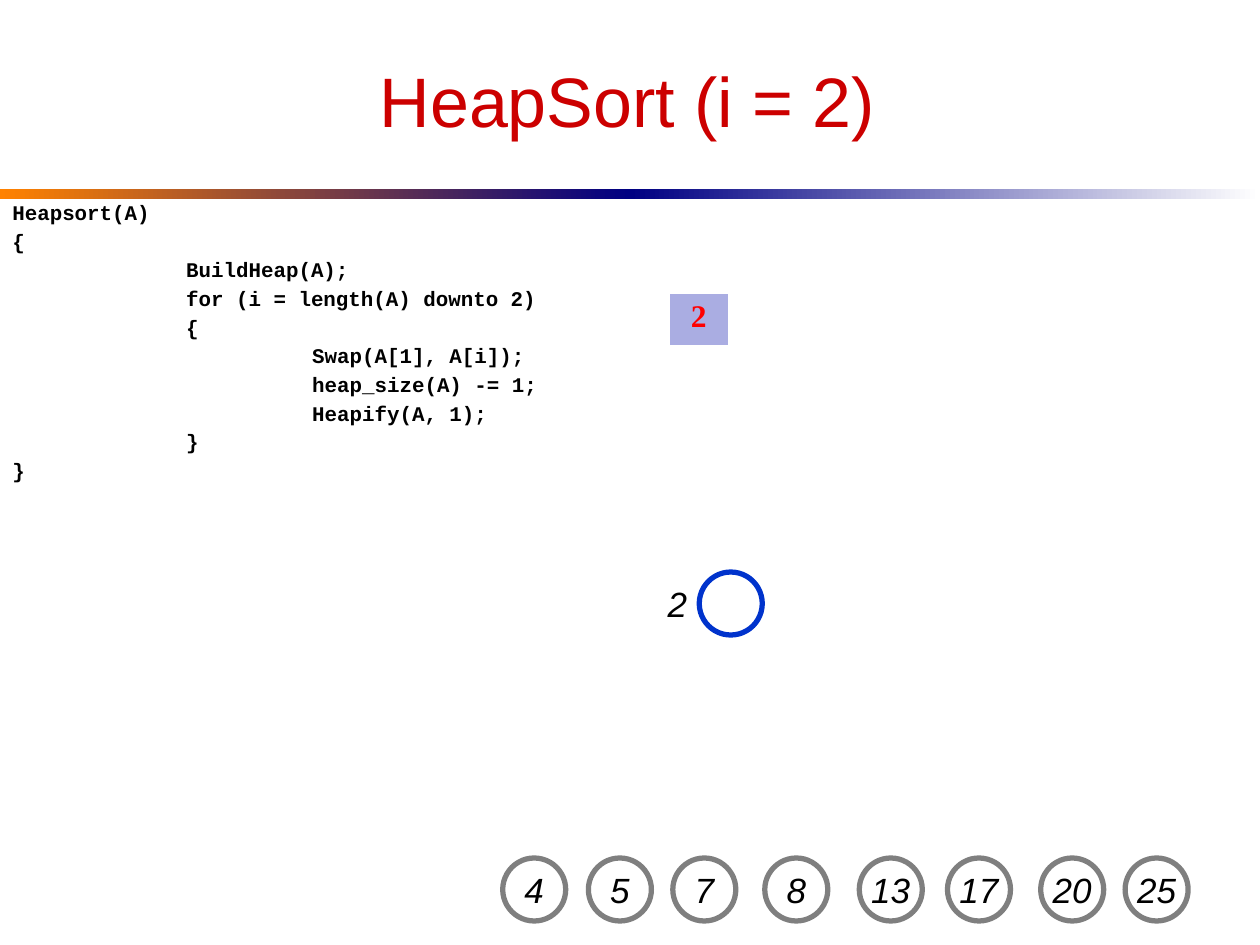
from lxml import etree
from pptx import Presentation
from pptx import util as u
from pptx.dml.color import RGBColor
from pptx.enum import shapes, text
from pptx.oxml.ns import qn

COLORS = {
    "title": "CC0000", "ink": "000000", "paper": "FFFFFF",
    "orange": "FF8200", "navy": "000082",
    "active": "0033CC", "sorted": "7F7F7F",
    "cell": "AAADE2", "value": "FF0000",
}
CODE = [
    (0, "Heapsort(A)"),
    (0, "{"),
    (2, "BuildHeap(A);"),
    (2, "for (i = length(A) downto 2)"),
    (2, "{"),
    (3, "Swap(A[1], A[i]);"),
    (3, "heap_size(A) -= 1;"),
    (3, "Heapify(A, 1);"),
    (2, "}"),
    (0, "}"),
]
SORTED = [(3.99, "4"), (4.67, "5"), (5.34, "7"), (6.07, "8"),
          (6.82, "13"), (7.52, "17"), (8.26, "20"), (8.93, "25")]


def color(name):
    return RGBColor.from_string(COLORS[name])


def area(*sides):
    return [u.Inches(side) for side in sides]


def style(para, face, size, ink, bold=False, italic=False):
    font = para.font
    font.name, font.size = face, u.Pt(size)
    font.bold, font.italic = bold, italic
    font.color.rgb = color(ink)


def add_tabs(para):
    """Left tab stops at every inch."""
    props = para._p.get_or_add_pPr()
    props.set("defTabSz", str(u.Inches(1)))
    stops = etree.SubElement(props, qn("a:tabLst"))
    for inch in range(8):
        etree.SubElement(stops, qn("a:tab"), pos=str(u.Inches(inch)), algn="l")


def add_bar(slide, left, start, end):
    bar = slide.shapes.add_shape(shapes.MSO_SHAPE.RECTANGLE,
                                 *area(left, 1.5, 5, 0.08))
    bar.shadow.inherit = False
    bar.line.fill.background()
    bar.fill.gradient()
    bar.fill.gradient_angle = 0
    for stop, name in zip(bar.fill.gradient_stops, (start, end)):
        stop.color.rgb = color(name)


def add_title(slide, words):
    title = slide.shapes.title
    title.left, title.top, title.width, title.height = area(0.48, 0.25, 9, 1.08)
    frame = title.text_frame
    frame.text = words
    frame.vertical_anchor = text.MSO_ANCHOR.MIDDLE
    para = frame.paragraphs[0]
    para.alignment = text.PP_ALIGN.CENTER
    style(para, "Arial", 40, "title")


def add_node(slide, left, top, label, edge):
    node = slide.shapes.add_shape(shapes.MSO_SHAPE.OVAL,
                                  *area(left, top, 0.5, 0.5))
    node.shadow.inherit = False
    node.fill.solid()
    node.fill.fore_color.rgb = color("paper")
    node.line.color.rgb = color(edge)
    node.line.width = u.Pt(3)
    frame = node.text_frame
    frame.word_wrap = False
    frame.vertical_anchor = text.MSO_ANCHOR.MIDDLE
    para = frame.paragraphs[0]
    para.text = label
    add_tabs(para)
    para.alignment = text.PP_ALIGN.CENTER
    style(para, "Arial", 20, "ink", italic=True)


def add_border(cell, side, width):
    line = etree.SubElement(cell._tc.get_or_add_tcPr(), qn("a:ln" + side),
                            w=str(u.Pt(width)))
    fill = etree.SubElement(line, qn("a:solidFill"))
    etree.SubElement(fill, qn("a:srgbClr"), val=COLORS["paper"])


def add_array(slide, value):
    table = slide.shapes.add_table(1, 1, *area(5.31, 2.33, 0.47, 0.42)).table
    table.first_row = table.horz_banding = False
    cell = table.cell(0, 0)
    for side, width in (("L", 0.45), ("R", 0.45), ("T", 0.45), ("B", 1.47)):
        add_border(cell, side, width)
    cell.fill.solid()
    cell.fill.fore_color.rgb = color("cell")
    cell.text = value
    para = cell.text_frame.paragraphs[0]
    para.alignment = text.PP_ALIGN.CENTER
    style(para, "Times New Roman", 18, "value", bold=True)


def add_code(slide, lines):
    frame = slide.shapes.add_textbox(*area(0, 1.56, 4.5, 2.77)).text_frame
    frame.word_wrap = True
    for row, (depth, words) in enumerate(lines):
        para = frame.add_paragraph() if row else frame.paragraphs[0]
        para.text = "\t" * depth + words
        add_tabs(para)
        props = para._p.get_or_add_pPr()
        props.set("marL", str(u.Inches(0.38)))
        props.set("indent", str(u.Inches(-0.38)))
        para.line_spacing = 0.9
        if row:
            para.space_before = u.Pt(3.5)
        style(para, "Courier New", 11.9, "ink", bold=True)


def main():
    deck = Presentation()
    deck.slide_width, deck.slide_height = area(10, 7.5)
    slide = deck.slides.add_slide(deck.slide_layouts[5])

    # Heading and rule
    add_bar(slide, 0, "orange", "navy")
    add_bar(slide, 5, "navy", "paper")
    add_title(slide, "HeapSort (i = 2)")

    # Algorithm and remaining heap
    add_code(slide, CODE)
    add_array(slide, "2")
    add_node(slide, 5.55, 4.54, "2\t", "active")

    # Sorted values
    for left, label in SORTED:
        add_node(slide, left, 6.81, label, "sorted")

    deck.save("out.pptx")


if __name__ == "__main__":
    main()
